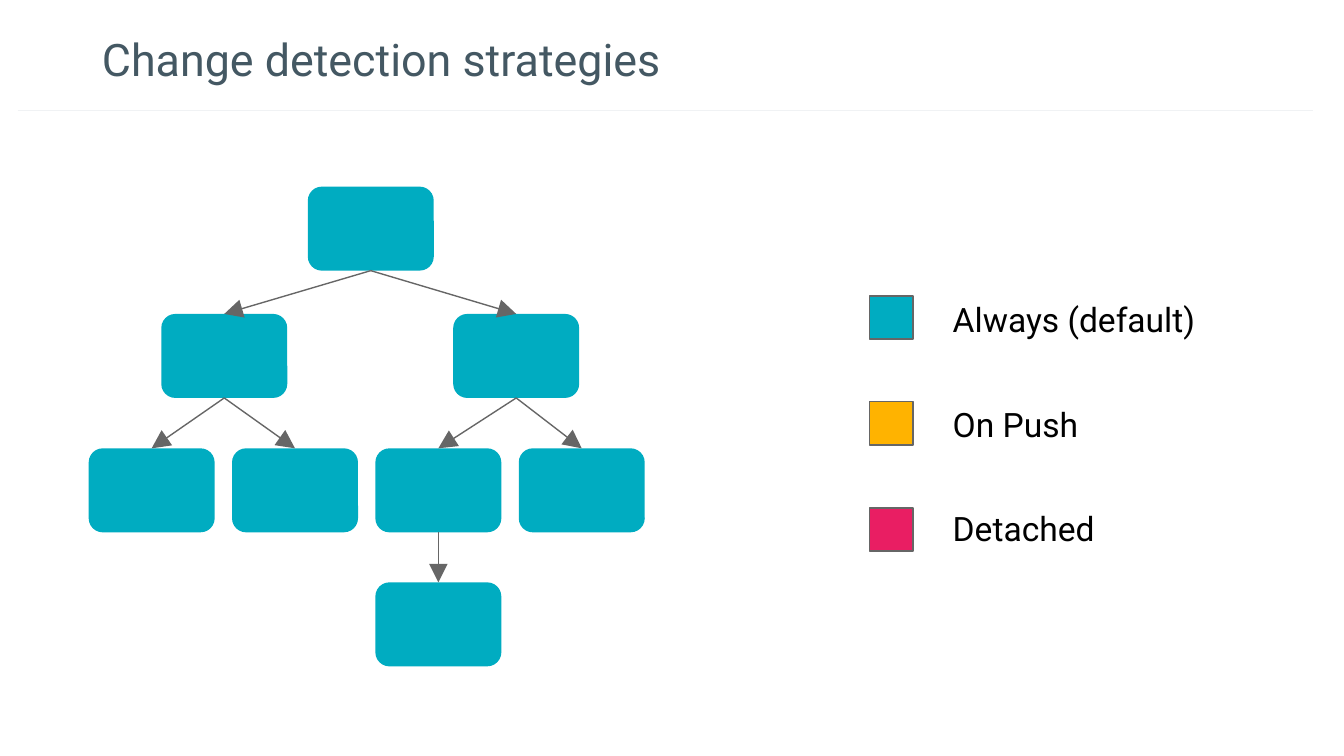
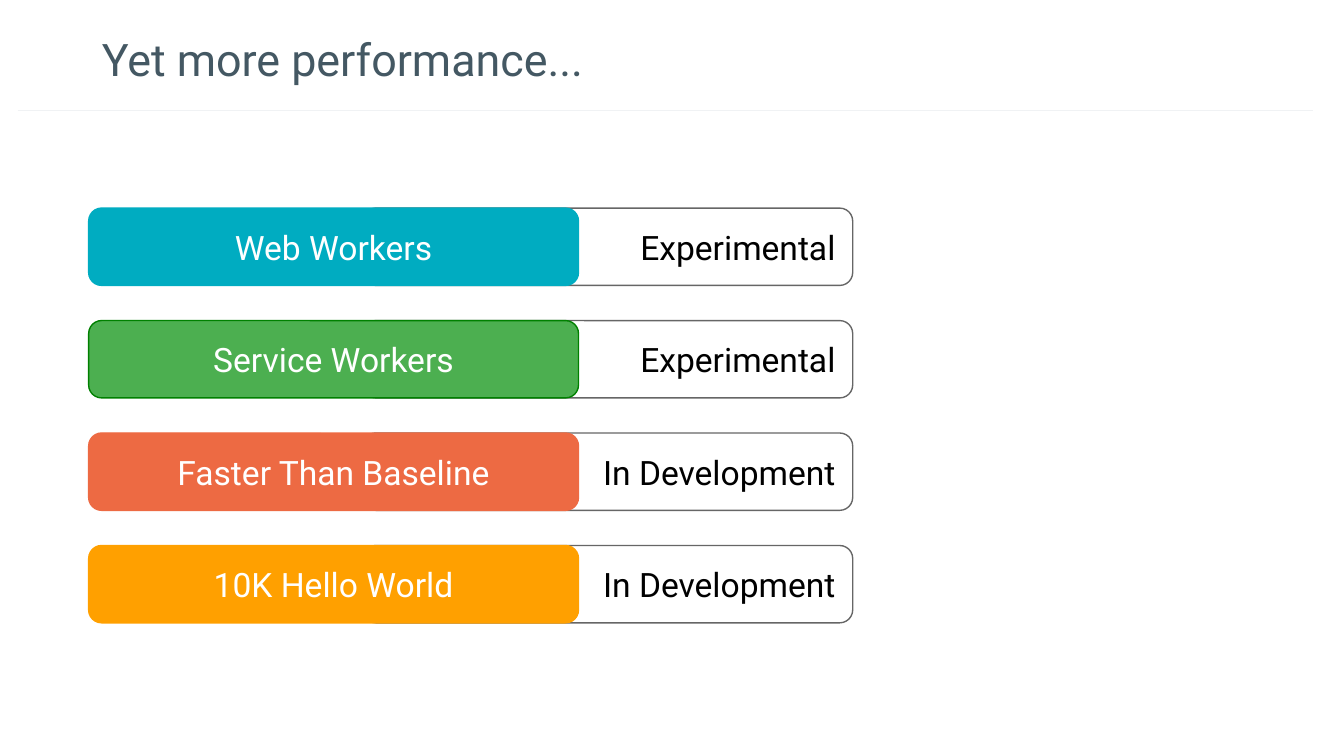
"""Build two slides: change detection strategies and performance topics."""
from lxml import etree
from pptx import Presentation
from pptx.dml.color import RGBColor
from pptx.enum import shapes, text
from pptx.oxml import ns
from pptx.util import Pt

FONT = "Roboto"
TITLE = RGBColor(0x44, 0x58, 0x63)
RULE = RGBColor(0xF0, 0xF2, 0xF4)
GREY = RGBColor(0x66, 0x66, 0x66)
BLACK = RGBColor(0x00, 0x00, 0x00)
WHITE = RGBColor(0xFF, 0xFF, 0xFF)
CYAN = RGBColor(0x00, 0xAC, 0xC1)
AMBER = RGBColor(0xFF, 0xB3, 0x00)
PINK = RGBColor(0xE9, 0x1E, 0x63)
GREEN = RGBColor(0x4C, 0xAF, 0x50)
DARK_GREEN = RGBColor(0x00, 0x80, 0x00)
CORAL = RGBColor(0xED, 0x6A, 0x43)
ORANGE = RGBColor(0xFF, 0xA0, 0x00)

RECT = shapes.MSO_SHAPE.RECTANGLE
ROUNDED = shapes.MSO_SHAPE.ROUNDED_RECTANGLE
LEFT, CENTER, RIGHT = text.PP_ALIGN.LEFT, text.PP_ALIGN.CENTER, text.PP_ALIGN.RIGHT
MIDDLE, BOTTOM = text.MSO_ANCHOR.MIDDLE, text.MSO_ANCHOR.BOTTOM

MARGIN = 47.5
NODE_WIDTH, NODE_HEIGHT = 67.5, 45
LEAF_PITCH = 76.8
SWATCH = 23.2
BAR_WIDTH, BAR_HEIGHT = 262.4, 41.4
STATUS_LEFT = 194.4

NODES = {
    "root": (164.9, 100),
    "left": (86.4, 168.2),
    "right": (242.8, 168.2),
    **{f"leaf {i}": (MARGIN + i * LEAF_PITCH, 240.2) for i in range(4)},
    "tip": (MARGIN + 2 * LEAF_PITCH, 312),
}
BRANCHES = [
    ("root", "left"), ("root", "right"),
    ("left", "leaf 0"), ("left", "leaf 1"),
    ("right", "leaf 2"), ("right", "leaf 3"),
    ("leaf 2", "tip"),
]
STRATEGIES = [("Always (default)", CYAN), ("On Push", AMBER), ("Detached", PINK)]
TOPICS = [
    ("Web Workers", "Experimental", CYAN, CYAN),
    ("Service Workers", "Experimental", GREEN, DARK_GREEN),
    ("Faster Than Baseline", "In Development", CORAL, CORAL),
    ("10K Hello World", "In Development", ORANGE, ORANGE),
]


def write(shape, words, size=18, color=BLACK, align=LEFT, anchor=MIDDLE):
    """Put one formatted paragraph into a shape."""
    frame = shape.text_frame
    frame.word_wrap = True
    frame.vertical_anchor = anchor
    frame.margin_left = frame.margin_right = Pt(7.2)
    frame.margin_top = frame.margin_bottom = Pt(7.2)
    para = frame.paragraphs[0]
    para.alignment = align
    span = para.add_run()
    span.text = words
    span.font.name = FONT
    span.font.size = Pt(size)
    span.font.color.rgb = color


def add_label(page, left, top, width, height, words, **style):
    """Add a text box."""
    box = page.shapes.add_textbox(Pt(left), Pt(top), Pt(width), Pt(height))
    write(box, words, **style)


def add_box(page, kind, left, top, width, height, fill=None, line=None):
    """Add a flat shape with optional fill and outline."""
    box = page.shapes.add_shape(kind, Pt(left), Pt(top), Pt(width), Pt(height))
    box.shadow.inherit = False
    if kind == ROUNDED:
        box.adjustments[0] = 0.167
    if fill is None:
        box.fill.background()
    else:
        box.fill.solid()
        box.fill.fore_color.rgb = fill
    if line is None:
        box.line.fill.background()
    else:
        box.line.color.rgb = line
        box.line.width = Pt(0.75)
    return box


def add_line(page, color, start=(0, 0), end=(0, 0)):
    """Add a thin straight connector without shadow."""
    line = page.shapes.add_connector(
        shapes.MSO_CONNECTOR.STRAIGHT, *(Pt(value) for value in (*start, *end)))
    line.line.color.rgb = color
    line.line.width = Pt(0.75)
    etree.SubElement(line._element.spPr, ns.qn("a:effectLst"))
    return line


def add_arrow(page, parent, child):
    """Join the bottom of one box to the top of another with an arrow."""
    arrow = add_line(page, GREY)
    arrow.begin_connect(parent, 2)
    arrow.end_connect(child, 0)
    etree.SubElement(arrow.line._get_or_add_ln(), ns.qn("a:tailEnd"),
                     type="triangle", w="lg", len="lg")


def add_page(deck, title):
    """Add a blank page with the shared title and rule."""
    page = deck.slides.add_slide(deck.slide_layouts[6])
    page.background.fill.solid()
    page.background.fill.fore_color.rgb = WHITE
    add_line(page, RULE, (9.4, 59.2), (703.4, 59.2))
    add_label(page, MARGIN, -9.4, 610.6, 62.6, title,
              size=24, color=TITLE, anchor=BOTTOM)
    return page


def add_tree(page):
    """Draw the component tree."""
    boxes = {name: add_box(page, ROUNDED, left, top, NODE_WIDTH, NODE_HEIGHT, CYAN)
             for name, (left, top) in NODES.items()}
    for parent, child in BRANCHES:
        add_arrow(page, boxes[parent], boxes[child])


def add_legend(page):
    """Draw a colour swatch and label for each strategy."""
    for row, (name, color) in enumerate(STRATEGIES):
        add_box(page, RECT, 466, 158.5 + row * 56.8, SWATCH, SWATCH, color, GREY)
        add_label(page, 503.3, 159.2 + row * 56.2, 154, SWATCH, name)


def add_topics(page):
    """Draw each topic bar over its status frame."""
    for row, (topic, status, fill, line) in enumerate(TOPICS):
        top = 111.5 + row * 60.25
        frame = add_box(page, ROUNDED, STATUS_LEFT, top, BAR_WIDTH, BAR_HEIGHT, line=GREY)
        write(frame, status, align=RIGHT)
        bar = add_box(page, ROUNDED, MARGIN, top, BAR_WIDTH, BAR_HEIGHT, fill, line)
        write(bar, topic, color=WHITE, align=CENTER)


def main():
    """Build and save the deck."""
    deck = Presentation()
    deck.slide_width, deck.slide_height = Pt(720), Pt(405)
    page = add_page(deck, "Change detection strategies")
    add_tree(page)
    add_legend(page)
    add_topics(add_page(deck, "Yet more performance..."))
    deck.save("out.pptx")


if __name__ == "__main__":
    main()
